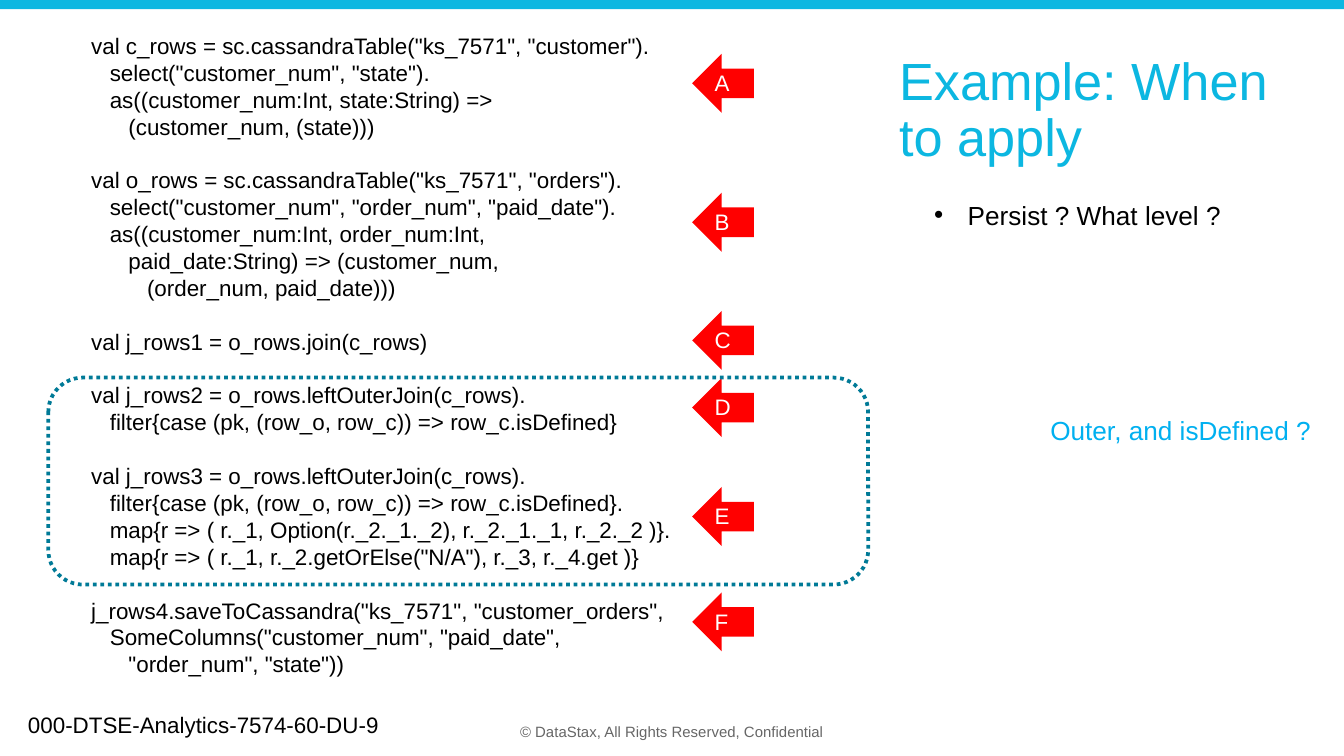
from dataclasses import dataclass

from lxml.etree import SubElement
from pptx import Presentation
from pptx.dml.color import RGBColor
from pptx.enum.dml import MSO_LINE_DASH_STYLE as Dash
from pptx.enum.shapes import MSO_SHAPE as Shape
from pptx.enum.text import MSO_ANCHOR as Anchor, MSO_AUTO_SIZE as AutoSize, PP_ALIGN as Align
from pptx.oxml.ns import qn
from pptx.util import Pt


@dataclass(frozen=True)
class Theme:
    """Colours, font and type sizes of the slide."""
    font: str = "Arial"
    accent: str = "0CB7E1"
    marker: str = "FF0000"
    frame: str = "007A97"
    question: str = "00B0F0"
    ink: str = "000000"
    light: str = "FFFFFF"
    muted: str = "666666"
    title: int = 28
    note: int = 14
    code: int = 12
    legal: int = 8


THEME = Theme()
CODE_LINE = 14.4

CODE_BLOCKS = [
    '''val c_rows = sc.cassandraTable("ks_7571", "customer").
   select("customer_num", "state").
   as((customer_num:Int, state:String) =>
      (customer_num, (state)))''',
    '''val o_rows = sc.cassandraTable("ks_7571", "orders").
   select("customer_num", "order_num", "paid_date").
   as((customer_num:Int, order_num:Int,
      paid_date:String) => (customer_num,
         (order_num, paid_date)))''',
    '''val j_rows1 = o_rows.join(c_rows)''',
    '''val j_rows2 = o_rows.leftOuterJoin(c_rows).
   filter{case (pk, (row_o, row_c)) => row_c.isDefined}''',
    '''val j_rows3 = o_rows.leftOuterJoin(c_rows).
   filter{case (pk, (row_o, row_c)) => row_c.isDefined}.
   map{r => ( r._1, Option(r._2._1._2), r._2._1._1, r._2._2 )}.
   map{r => ( r._1, r._2.getOrElse("N/A"), r._3, r._4.get )}''',
    '''j_rows4.saveToCassandra("ks_7571", "customer_orders",
   SomeColumns("customer_num", "paid_date",
      "order_num", "state"))''',
]
MARKER_TOPS = {"A": 28.8, "B": 103.2, "C": 166.5, "D": 202.5, "E": 260.9, "F": 317.3}


def place(shape, left, top, width, height):
    """Move and size a shape, in points."""
    box = {"left": left, "top": top, "width": width, "height": height}
    for name, value in box.items():
        setattr(shape, name, Pt(value))


def set_frame(frame, **formats):
    """Apply text frame settings over the common ones."""
    settings = {"word_wrap": True, "auto_size": AutoSize.NONE, "vertical_anchor": Anchor.TOP}
    for name, value in (settings | formats).items():
        setattr(frame, name, value)


def write(paragraph, text, size, color, **formats):
    """Fill one paragraph and format it."""
    paragraph.add_run().text = text
    settings = {"alignment": Align.LEFT, "space_before": Pt(0)}
    for name, value in (settings | formats).items():
        setattr(paragraph, name, value)
    font = paragraph.runs[0].font
    font.name, font.size = THEME.font, Pt(size)
    font.color.rgb = RGBColor.from_string(color)


def add_label(shapes, box, text, size, color, frame=None, **formats):
    """Add a one-line text box."""
    label = shapes.add_textbox(*map(Pt, box))
    set_frame(label.text_frame, **(frame or {}))
    write(label.text_frame.paragraphs[0], text, size, color, **formats)


def add_solid(shapes, kind, box, color):
    """Add a filled shape without outline."""
    solid = shapes.add_shape(kind, *map(Pt, box))
    solid.shadow.inherit = False
    solid.fill.solid()
    solid.fill.fore_color.rgb = RGBColor.from_string(color)
    solid.line.fill.background()
    return solid


def add_marker(shapes, letter, top):
    """Add a lettered arrow that points left at the code."""
    group = shapes.add_group_shape().shapes
    arrow = add_solid(group, Shape.RIGHT_ARROW, (370.8, top, 33.1, 31.7), THEME.marker)
    arrow.rotation = 180
    add_label(group, (375.8, top + 4.8, 22.3, 21.6), letter, THEME.code, THEME.light,
              {"word_wrap": False, "auto_size": AutoSize.SHAPE_TO_FIT_TEXT})


def add_code(shapes):
    """Add the listing, one paragraph a line with a gap before each block."""
    listing = shapes.add_textbox(Pt(41.8), Pt(13.7), Pt(331.2), Pt(356.4)).text_frame
    set_frame(listing, word_wrap=False, auto_size=AutoSize.SHAPE_TO_FIT_TEXT)
    for block_index, block in enumerate(CODE_BLOCKS):
        for line_index, line in enumerate(block.split("\n")):
            first = block_index == line_index == 0
            paragraph = listing.paragraphs[0] if first else listing.add_paragraph()
            gap = CODE_LINE if block_index and not line_index else 0
            write(paragraph, line, THEME.code, THEME.ink, space_before=Pt(gap))


def add_highlight(shapes):
    """Add the dotted frame around the outer joins."""
    highlight = shapes.add_shape(Shape.ROUNDED_RECTANGLE, Pt(25.9), Pt(202.3), Pt(439.2), Pt(110.9))
    highlight.shadow.inherit = False
    highlight.fill.background()
    highlight.line.color.rgb = RGBColor.from_string(THEME.frame)
    highlight.line.width = Pt(2)
    highlight.line.dash_style = Dash.ROUND_DOT


def fill_title(title):
    """Place and write the slide title."""
    place(title, 481.7, 54, 223.2, 43.2)
    set_frame(title.text_frame, vertical_anchor=Anchor.BOTTOM, margin_left=0,
              margin_top=Pt(7.2), margin_bottom=Pt(7.2))
    write(title.text_frame.paragraphs[0], "Example: When to apply", THEME.title, THEME.accent,
          line_spacing=0.9)


def fill_points(body):
    """Place and write the bullet list."""
    place(body, 493.2, 103, 169.2, 24.5)
    set_frame(body.text_frame, word_wrap=False, auto_size=AutoSize.SHAPE_TO_FIT_TEXT)
    point = body.text_frame.paragraphs[0]
    properties = point._p.get_or_add_pPr()
    properties.set("marL", str(Pt(18)))
    properties.set("indent", str(Pt(-18)))
    SubElement(properties, qn("a:buFont")).set("typeface", THEME.font)
    SubElement(properties, qn("a:buChar")).set("char", "•")
    write(point, "Persist ? What level ?", THEME.note, THEME.ink)


def main():
    """Build the slide and save it."""
    deck = Presentation()
    deck.slide_width, deck.slide_height = Pt(720), Pt(405)
    slide = deck.slides.add_slide(deck.slide_layouts[1])
    shapes = slide.shapes
    add_solid(shapes, Shape.RECTANGLE, (0, 0, 720, 5), THEME.accent)
    add_label(shapes, (211.7, 378.7, 296.6, 21.6), "© DataStax, All Rights Reserved, Confidential",
              THEME.legal, THEME.muted, {"vertical_anchor": Anchor.BOTTOM}, alignment=Align.CENTER)
    fill_title(shapes.title)
    add_label(shapes, (7.9, 377.3, 337.7, 21.6), "000-DTSE-Analytics-7574-60-DU-9",
              THEME.code, THEME.ink)
    add_code(shapes)
    for letter, top in MARKER_TOPS.items():
        add_marker(shapes, letter, top)
    fill_points(slide.placeholders[1])
    add_highlight(shapes)
    add_label(shapes, (551.5, 218.2, 162, 24.5), "Outer, and isDefined ?",
              THEME.note, THEME.question, alignment=Align.CENTER)
    deck.save("out.pptx")


if __name__ == "__main__":
    main()
